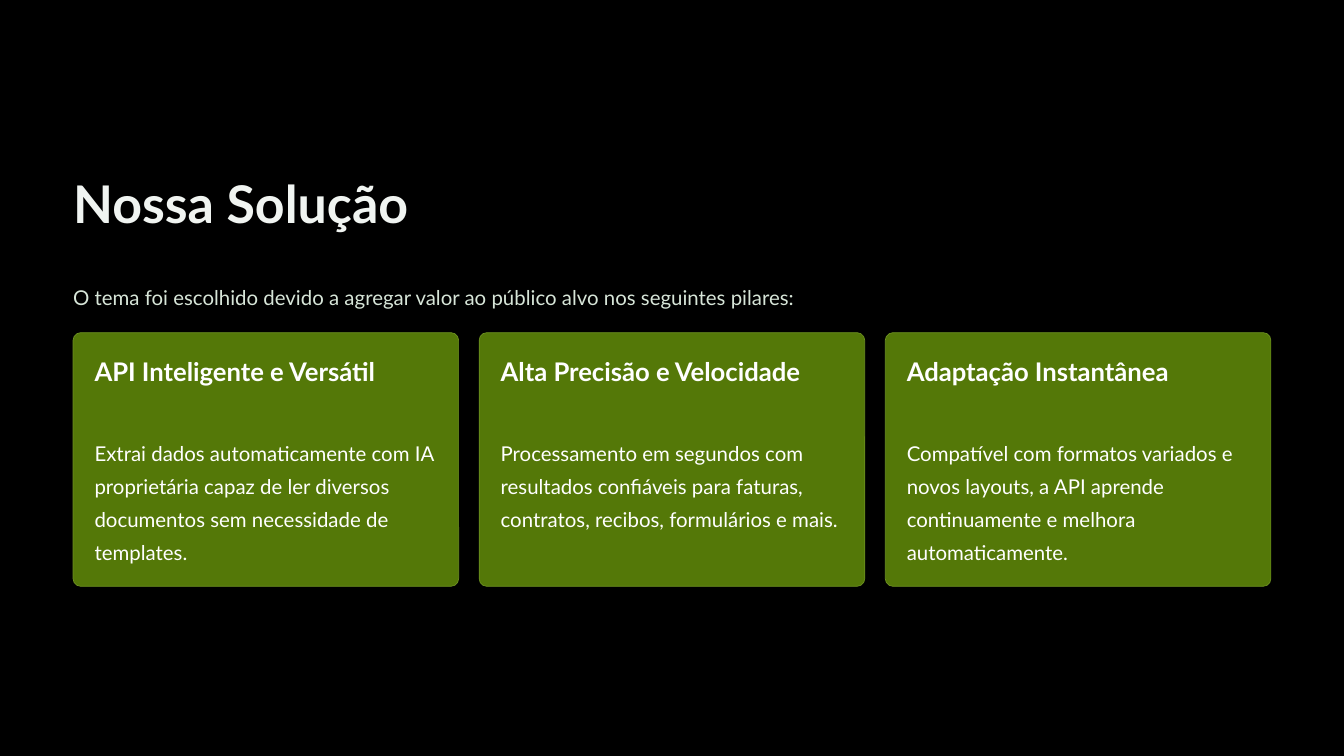
from pptx import Presentation
from pptx.dml.color import RGBColor
from pptx.enum.shapes import MSO_SHAPE
from pptx.enum.text import MSO_ANCHOR, PP_ALIGN
from pptx.util import Cm, Pt

COLORS = {
    "background": "000000",
    "title": "F0F4F1",
    "intro": "D7E5D8",
    "card": "547808",
    "border": "6D9121",
    "card_text": "FFFFFF",
}
PILLARS = [
    ("API Inteligente e Versátil",
     "Extrai dados automaticamente com IA proprietária capaz de ler diversos "
     "documentos sem necessidade de templates."),
    ("Alta Precisão e Velocidade",
     "Processamento em segundos com resultados confiáveis para faturas, "
     "contratos, recibos, formulários e mais."),
    ("Adaptação Instantânea",
     "Compatível com formatos variados e novos layouts, a API aprende "
     "continuamente e melhora automaticamente."),
]
LEFT, CARD_TOP = 2.21, 10.06
CARD_W, CARD_H, CARD_PITCH = 11.66, 7.67, 12.28
PADDING = 0.65


def rgb(name):
    """Return the named colour of the palette."""
    return RGBColor.from_string(COLORS[name])


def add_text(s, text, x, y, w, h, *, size, leading, color, bold=False, wrap=True):
    """Add a text box without margins, measured in centimetres."""
    tf = s.shapes.add_textbox(Cm(x), Cm(y), Cm(w), Cm(h)).text_frame
    tf.margin_left = tf.margin_right = tf.margin_top = tf.margin_bottom = 0
    tf.vertical_anchor = MSO_ANCHOR.TOP
    tf.word_wrap = wrap
    p = tf.paragraphs[0]
    p.alignment = PP_ALIGN.LEFT
    p.line_spacing = Pt(leading)
    r = p.add_run()
    r.text = text
    r.font.name = "Lato"
    r.font.size = Pt(size)
    r.font.bold = bold
    r.font.color.rgb = rgb(color)


def add_card(s, x, heading, body):
    """Add a rounded card with its heading and body."""
    sp = s.shapes.add_shape(MSO_SHAPE.ROUNDED_RECTANGLE,
                            Cm(x), Cm(CARD_TOP), Cm(CARD_W), Cm(CARD_H))
    sp.adjustments[0] = 0.03
    sp.shadow.inherit = False
    sp.fill.solid()
    sp.fill.fore_color.rgb = rgb("card")
    sp.line.color.rgb = rgb("border")
    sp.line.width = Pt(0.6)
    text_x, text_w = x + PADDING, CARD_W - 2 * PADDING
    add_text(s, heading, text_x, CARD_TOP + PADDING, text_w, 1.98,
             size=22, leading=27.5, color="card_text", bold=True)
    add_text(s, body, text_x, CARD_TOP + 3, text_w, 4.04,
             size=17.5, leading=28.5, color="card_text")


def main():
    """Build the slide and save it."""
    prs = Presentation()
    prs.slide_width, prs.slide_height = Cm(40.64), Cm(22.86)
    s = prs.slides.add_slide(prs.slide_layouts[6])
    s.background.fill.solid()
    s.background.fill.fore_color.rgb = rgb("background")
    add_text(s, "Nossa Solução", LEFT, 5.11, 18.69, 1.98,
             size=44.5, leading=55.5, color="title", bold=True, wrap=False)
    add_text(s, "O tema foi escolhido devido a agregar valor ao público alvo "
             "nos seguintes pilares:", LEFT, 8.36, 36.22, 1.02,
             size=17.5, leading=28.5, color="intro", wrap=False)
    for i, (heading, body) in enumerate(PILLARS):
        add_card(s, LEFT + i * CARD_PITCH, heading, body)
    prs.save("out.pptx")


if __name__ == "__main__":
    main()
